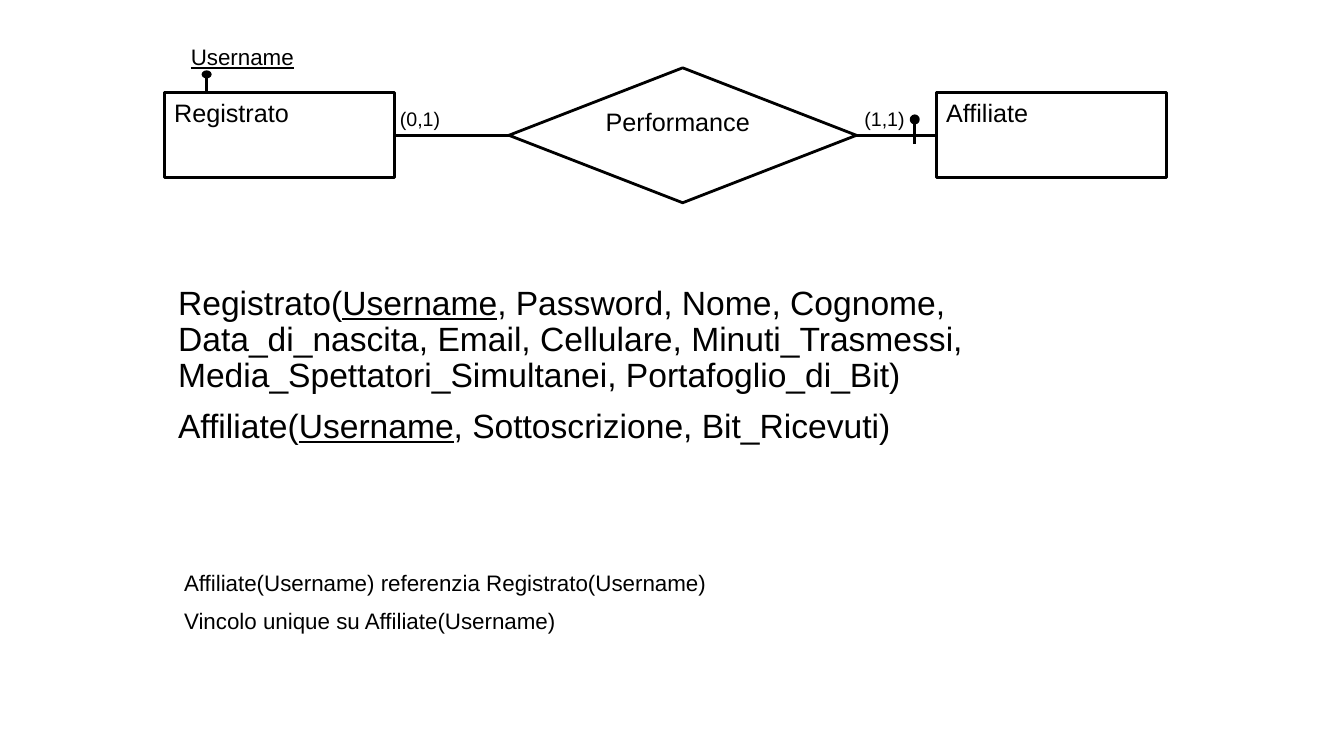
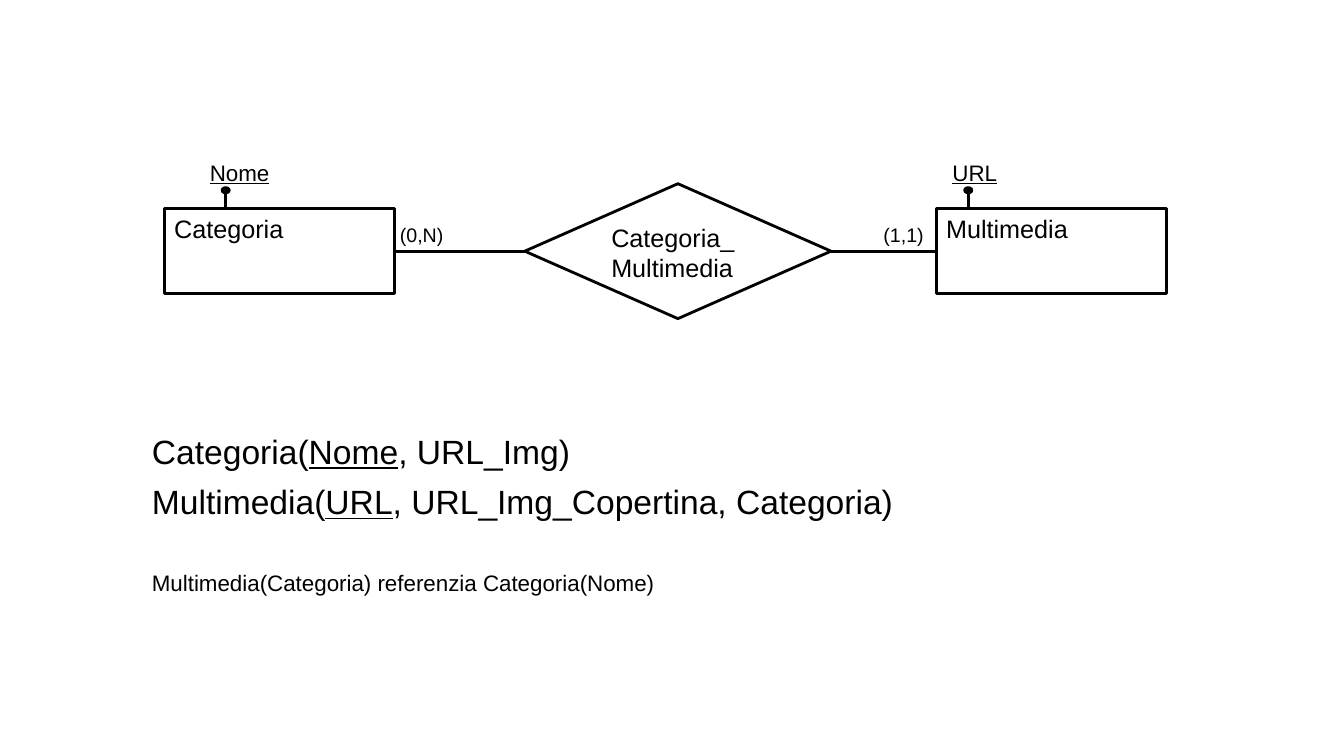
"""Two entity-relationship slides with their relational schemas."""
import dataclasses

import lxml.etree
import pptx
import pptx.dml.color
import pptx.enum.shapes
import pptx.enum.text
import pptx.oxml.ns
import pptx.util

Cm = pptx.util.Cm
Pt = pptx.util.Pt
Kind = pptx.enum.shapes.MSO_SHAPE


@dataclasses.dataclass(frozen=True)
class Theme:
    """Colours, type sizes and shared measures in centimetres."""
    ink: pptx.dml.color.RGBColor = pptx.dml.color.RGBColor(0, 0, 0)
    font: str = "Arial"
    body: int = 24
    name: int = 18
    note: int = 16
    mark: int = 14
    line: int = 2
    left: float = 4.14
    right: float = 23.6
    wide: float = 5.8
    high: float = 2.14
    peak: float = 3.4
    page: float = 25.4


LOOK = Theme()


def write(frame, *lines, size, lead=None, gap=0):
    """Fill a frame with paragraphs; text between bars is underlined."""
    frame.word_wrap = True
    frame.vertical_anchor = pptx.enum.text.MSO_ANCHOR.TOP
    for row, line in enumerate(lines):
        para = frame.add_paragraph() if row else frame.paragraphs[0]
        para.alignment = pptx.enum.text.PP_ALIGN.LEFT
        para.line_spacing = lead
        para.space_before = Pt(gap if row else 0)
        for part, words in enumerate(line.split("|")):
            if words:
                run = para.add_run()
                run.text = words
                run.font.size = Pt(size)
                run.font.name = LOOK.font
                run.font.color.rgb = LOOK.ink
                run.font.underline = part % 2 == 1


def label(shapes, x, y, w, h, *lines, **style):
    """Add a text box."""
    box = shapes.add_textbox(Cm(x), Cm(y), Cm(w), Cm(h))
    write(box.text_frame, *lines, **style)


def block(shapes, kind, x, y, w, h, text=""):
    """Add an outlined shape, named if it has text and solid if not."""
    shape = shapes.add_shape(kind, Cm(x), Cm(y), Cm(w), Cm(h))
    shape.shadow.inherit = False
    shape.line.color.rgb = LOOK.ink
    shape.line.width = Pt(LOOK.line)
    if text:
        shape.fill.background()
        write(shape.text_frame, text, size=LOOK.name)
    else:
        shape.fill.solid()
        shape.fill.fore_color.rgb = LOOK.ink
    return shape


def rule(shapes, x=0, y=0, end=0):
    """Add a plain upright line, ready to be joined to shapes."""
    line = shapes.add_connector(
        pptx.enum.shapes.MSO_CONNECTOR.STRAIGHT, Cm(x), Cm(y), Cm(x), Cm(end))
    line.line.color.rgb = LOOK.ink
    line.line.width = Pt(LOOK.line)
    lxml.etree.SubElement(line._element.spPr, pptx.oxml.ns.qn("a:effectLst"))
    return line


def link(shapes, start, side, stop, point):
    """Join two shapes with a line."""
    line = rule(shapes)
    line.begin_connect(start, side)
    line.end_connect(stop, point)


def pin(slide, x, base, rise=0.4, tall=0.13, key=""):
    """Add a key marker, with the name of its attribute if given."""
    shapes = slide.shapes.add_group_shape().shapes
    rule(shapes, x, base, base - rise)
    block(shapes, Kind.OVAL, x - 0.09, base - rise - tall, 0.18, tall)
    if key:
        label(shapes, x - 0.65, base - 1.38, 4.25, 0.94,
              f"|{key}|", size=LOOK.note)


def graph(slide, mid, names, x, wide, marks, spot):
    """Draw two entities joined by a relationship."""
    shapes = slide.shapes
    top = mid - LOOK.high / 2
    first, last = (
        block(shapes, Kind.RECTANGLE, edge, top, LOOK.wide, LOOK.high, name)
        for edge, name in ((LOOK.left, names[0]), (LOOK.right, names[2])))
    bond = block(shapes, Kind.DIAMOND, x, mid - LOOK.peak / 2,
                 wide, LOOK.peak, names[1])
    link(shapes, first, 3, bond, 1)
    link(shapes, last, 1, bond, 3)
    for edge, mark in zip((9.83, spot), marks):
        label(shapes, edge, mid - 0.84, 2.06, 0.84, mark, size=LOOK.mark)
    return top


def prose(slide, x, y, high, size, *lines):
    """Add a wide block of schema text."""
    label(slide.shapes, x, y, LOOK.page, high, *lines,
          size=size, lead=0.9, gap=10)


def perform(slide):
    """Build the affiliate slide."""
    mid = 3.41
    top = graph(slide, mid, ("Registrato", "Performance", "Affiliate"),
                12.83, 8.76, ("(0,1)", "(1,1)"), 21.54)
    pin(slide, 5.21, top, key="Username")
    pin(slide, 23.06, mid + 0.22, rise=0.53, tall=0.18)
    prose(slide, 4.24, 7.09, 4.95, LOOK.body,
          "Registrato(|Username|, Password, Nome, Cognome, Data_di_nascita, "
          "Email, Cellulare, Minuti_Trasmessi, Media_Spettatori_Simultanei, "
          "Portafoglio_di_Bit)",
          "Affiliate(|Username|, Sottoscrizione, Bit_Ricevuti)")
    prose(slide, 4.39, 14.3, 3, LOOK.note,
          "Affiliate(Username) referenzia Registrato(Username)",
          "Vincolo unique su Affiliate(Username)")


def media(slide):
    """Build the multimedia slide."""
    top = graph(slide, 6.33, ("Categoria", "Categoria_Multimedia", "Multimedia"),
                13.23, 7.72, ("(0,N)", "(1,1)"), 22.02)
    pin(slide, 5.69, top, key="Nome")
    pin(slide, 24.41, top, key="URL")
    prose(slide, 3.58, 10.85, 7.52, LOOK.body,
          "Categoria(|Nome|, URL_Img)",
          "Multimedia(|URL|, URL_Img_Copertina, Categoria)")
    prose(slide, 3.58, 14.3, 3, LOOK.note,
          "Multimedia(Categoria) referenzia Categoria(Nome)")


def main():
    """Build and save the deck."""
    deck = pptx.Presentation()
    deck.slide_width, deck.slide_height = Cm(33.88), Cm(19.05)
    for build in (perform, media):
        build(deck.slides.add_slide(deck.slide_layouts[6]))
    deck.save("out.pptx")


if __name__ == "__main__":
    main()
